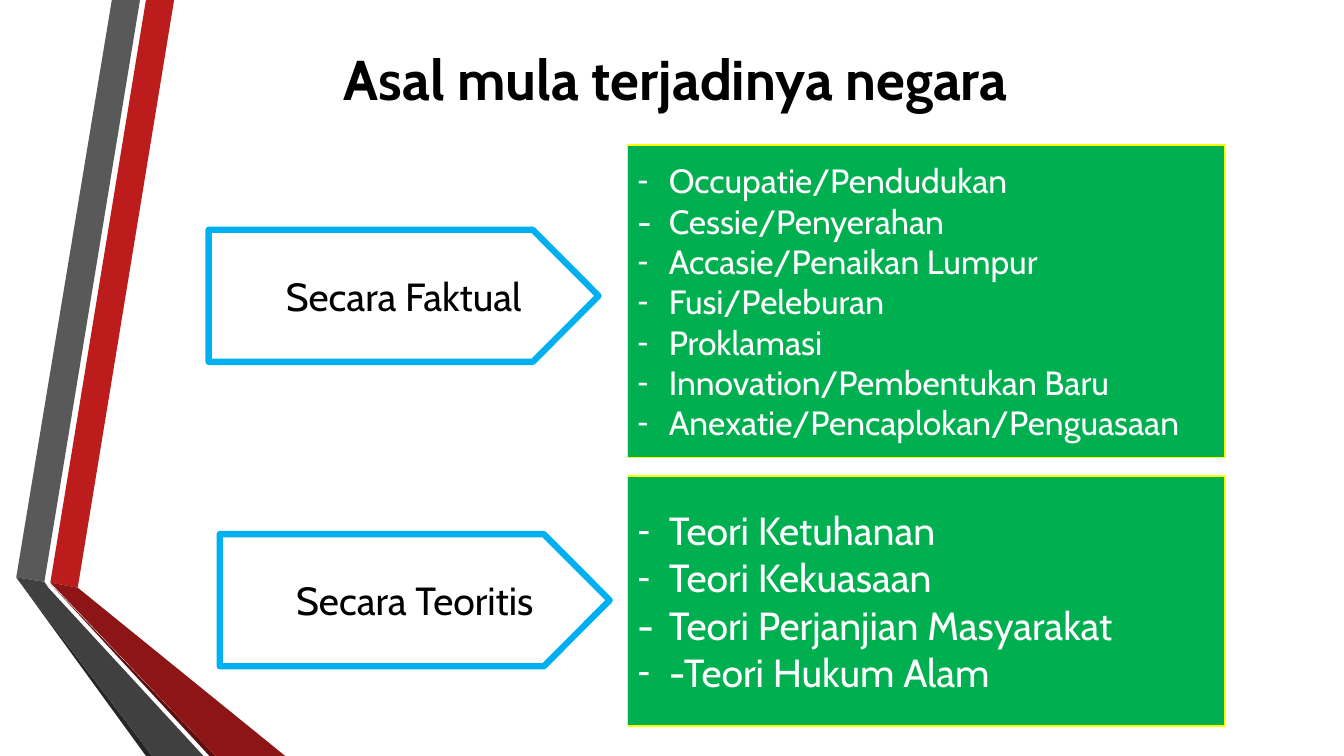
from dataclasses import dataclass

from lxml.etree import SubElement
from pptx import Presentation
from pptx.dml.color import RGBColor
from pptx.enum.shapes import MSO_SHAPE
from pptx.enum.text import MSO_ANCHOR, PP_ALIGN
from pptx.oxml.ns import qn
from pptx.util import Cm, Pt

FONT = "Cabin"
WIDTH, HEIGHT = 33.88, 19.05
ARROW_WIDTH, ARROW_HEIGHT, ARROW_SHOULDER = 9.83, 3.33, 8.17
LIST_LEFT, LIST_WIDTH, LIST_INDENT = 15.82, 15.06, 0.79
TYPED_DASH = "-\t"

Points = list[tuple[float, float]]


@dataclass
class Stripe:
    color: str
    points: Points


@dataclass
class Topic:
    label: str
    arrow_left: float
    arrow_top: float
    list_top: float
    list_height: float
    size: int
    items: list[str]


STRIPES = [
    Stripe("BC1C1C", [(1.27, 14.68), (1.96, 14.81), (4.39, 0), (3.68, 0)]),
    Stripe("595959", [(3.53, 0), (2.82, 0), (0.41, 14.55), (1.12, 14.66)]),
    Stripe("262626", [(0.41, 14.55), (3.68, HEIGHT), (3.84, HEIGHT)]),
    Stripe("5E0E0E", [(1.27, 14.71), (5.28, HEIGHT), (5.44, HEIGHT)]),
    Stripe("8D1515", [(1.27, 14.68), (5.44, HEIGHT), (7.19, HEIGHT), (1.96, 14.81)]),
    Stripe("404040", [(5.13, HEIGHT), (1.22, 14.81), (1.12, 14.66), (0.41, 14.55), (3.84, HEIGHT)]),
]

TOPICS = [
    Topic("Secara Faktual", 5.26, 5.79, 3.66, 7.87, 24, [
        "Occupatie/Pendudukan",
        TYPED_DASH + "Cessie/Penyerahan",
        "Accasie/Penaikan Lumpur",
        "Fusi/Peleburan",
        "Proklamasi",
        "Innovation/Pembentukan Baru",
        "Anexatie/Pencaplokan/Penguasaan",
    ]),
    Topic("Secara Teoritis", 5.54, 13.46, 11.99, 6.3, 28, [
        "Teori Ketuhanan",
        "Teori Kekuasaan",
        TYPED_DASH + "Teori Perjanjian Masyarakat",
        "-Teori Hukum Alam",
    ]),
]


def rgb(color: str) -> RGBColor:
    return RGBColor.from_string(color)


def paint(shape, fill: str | None = None, line: str | None = None, width: float = 1) -> None:
    shape.shadow.inherit = False
    if fill:
        shape.fill.solid()
        shape.fill.fore_color.rgb = rgb(fill)
    else:
        shape.fill.background()
    if line:
        shape.line.color.rgb = rgb(line)
        shape.line.width = Pt(width)
    else:
        shape.line.fill.background()


def add_outline(page, points: Points):
    corners = [(Cm(x), Cm(y)) for x, y in points]
    builder = page.shapes.build_freeform(*corners[0])
    builder.add_line_segments(corners[1:], close=True)
    return builder.convert_to_shape()


def write(para, text: str, *, size: int, color: str = "000000", bold: bool = False,
          align: PP_ALIGN = PP_ALIGN.CENTER) -> None:
    para.alignment = align
    span = para.add_run()
    span.text = text
    span.font.name = FONT
    span.font.size = Pt(size)
    span.font.bold = bold
    span.font.color.rgb = rgb(color)


def hang(para, bullet: bool) -> None:
    """Give the paragraph a hanging indent, with a white dash if bullet is set."""
    properties = para._p.get_or_add_pPr()
    properties.set("marL", str(Cm(LIST_INDENT)))
    properties.set("indent", str(-Cm(LIST_INDENT)))
    if bullet:
        color = SubElement(properties, qn("a:buClr"))
        SubElement(color, qn("a:srgbClr"), val="FFFFFF")
        SubElement(properties, qn("a:buFont"), typeface="Arial")
        SubElement(properties, qn("a:buChar"), char="-")
    else:
        SubElement(properties, qn("a:buNone"))


def add_title(page, text: str) -> None:
    box = page.shapes.add_textbox(Cm(4.45), Cm(0.99), Cm(25.17), Cm(1.96))
    box.text_frame.word_wrap = True
    write(box.text_frame.paragraphs[0], text, size=40, bold=True)


def add_arrow(page, topic: Topic) -> None:
    left, top = topic.arrow_left, topic.arrow_top
    shoulder, bottom = left + ARROW_SHOULDER, top + ARROW_HEIGHT
    arrow = add_outline(page, [
        (left, top), (shoulder, top), (left + ARROW_WIDTH, top + ARROW_HEIGHT / 2),
        (shoulder, bottom), (left, bottom),
    ])
    paint(arrow, line="00B0F0", width=4.5)
    frame = arrow.text_frame
    frame.word_wrap = True
    frame.vertical_anchor = MSO_ANCHOR.MIDDLE
    write(frame.paragraphs[0], topic.label, size=28)


def add_list(page, topic: Topic) -> None:
    box = page.shapes.add_shape(MSO_SHAPE.RECTANGLE, Cm(LIST_LEFT), Cm(topic.list_top),
                                Cm(LIST_WIDTH), Cm(topic.list_height))
    paint(box, fill="00B050", line="FFFF00", width=1.25)
    frame = box.text_frame
    frame.word_wrap = True
    frame.vertical_anchor = MSO_ANCHOR.MIDDLE
    for index, item in enumerate(topic.items):
        para = frame.add_paragraph() if index else frame.paragraphs[0]
        hang(para, bullet=not item.startswith(TYPED_DASH))
        write(para, item, size=topic.size, color="FFFFFF", align=PP_ALIGN.LEFT)


def main() -> None:
    deck = Presentation()
    deck.slide_width, deck.slide_height = Cm(WIDTH), Cm(HEIGHT)
    page = deck.slides.add_slide(deck.slide_layouts[6])
    for stripe in STRIPES:
        paint(add_outline(page, stripe.points), fill=stripe.color)
    add_title(page, "Asal mula terjadinya negara")
    for topic in TOPICS:
        add_arrow(page, topic)
        add_list(page, topic)
    deck.save("out.pptx")


if __name__ == "__main__":
    main()
